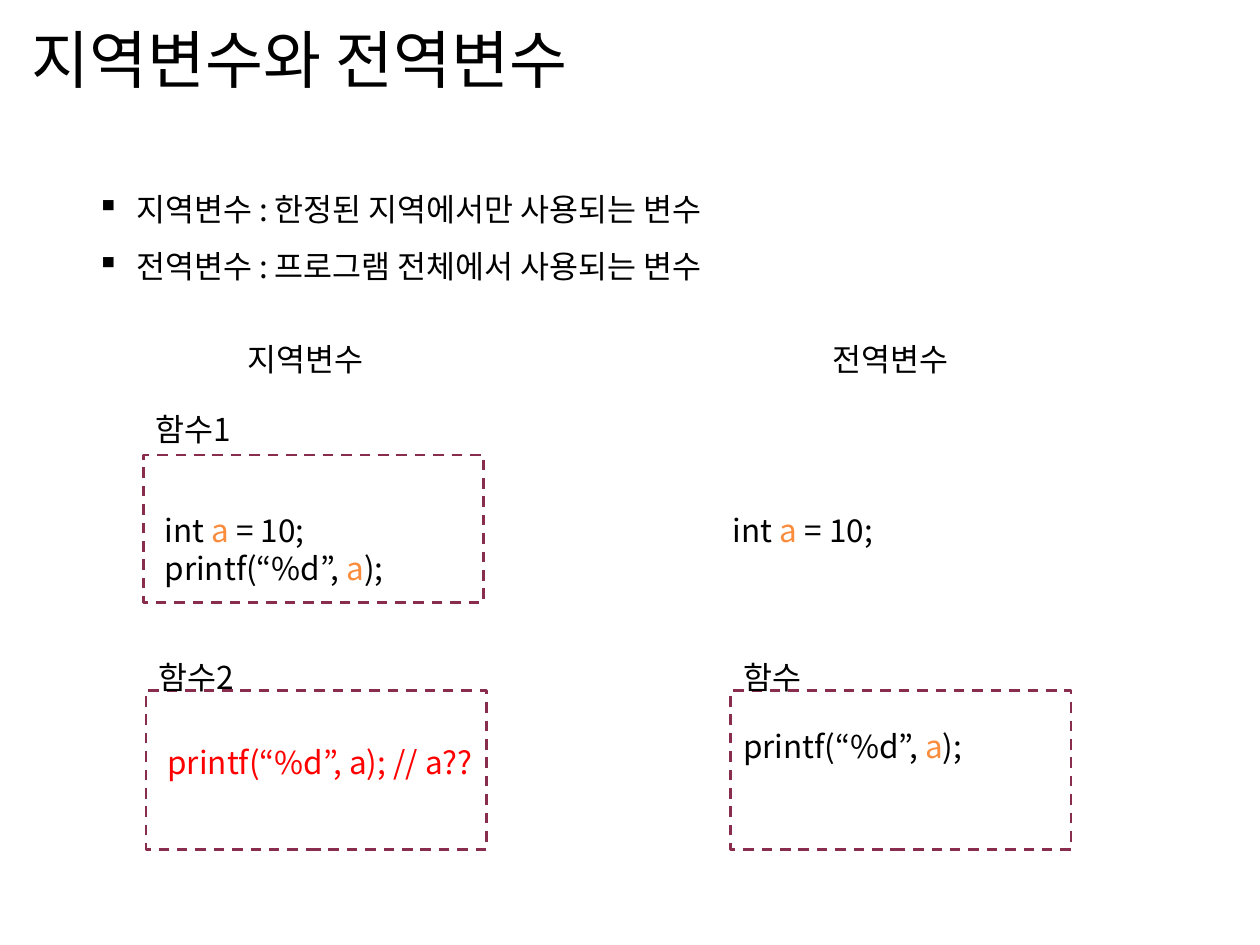
from dataclasses import dataclass

from lxml.etree import SubElement
from pptx import Presentation
from pptx.dml.color import RGBColor
from pptx.enum.dml import MSO_LINE
from pptx.enum.shapes import MSO_SHAPE
from pptx.enum.text import MSO_ANCHOR, PP_ALIGN
from pptx.oxml.ns import qn
from pptx.util import Pt


@dataclass(frozen=True)
class Theme:
    font: str = "Noto Sans CJK KR"
    title_size: int = 36
    body_size: int = 18
    ink: str = "000000"
    variable: str = "FA8D3D"
    error: str = "FF0000"
    frame: str = "882D4D"


class LessonSlide:
    def __init__(self, presentation, theme):
        self.theme = theme
        self.slide = presentation.slides.add_slide(presentation.slide_layouts[5])

    def style(self, paragraph, size, color):
        paragraph.font.name = self.theme.font
        paragraph.font.size = Pt(size)
        paragraph.font.color.rgb = RGBColor.from_string(color)
        defaults = paragraph._p.pPr.find(qn("a:defRPr"))
        SubElement(defaults, qn("a:ea")).set("typeface", self.theme.font)

    def title(self, text, left, top, width, height):
        heading = self.slide.shapes.title
        heading.left, heading.top = Pt(left), Pt(top)
        heading.width, heading.height = Pt(width), Pt(height)
        heading.text_frame.text = text
        heading.text_frame.vertical_anchor = MSO_ANCHOR.MIDDLE
        paragraph = heading.text_frame.paragraphs[0]
        paragraph.alignment = PP_ALIGN.LEFT
        self.style(paragraph, self.theme.title_size, self.theme.ink)

    def text(self, lines, left, top, width, height=29, color=None, first_spacing=None):
        box = self.slide.shapes.add_textbox(Pt(left), Pt(top), Pt(width), Pt(height))
        frame = box.text_frame
        frame.word_wrap = False
        for index, line in enumerate(lines):
            paragraph = frame.paragraphs[0] if index == 0 else frame.add_paragraph()
            for position, part in enumerate(line.split("|")):
                run = paragraph.add_run()
                run.text = part
                if position % 2:
                    run.font.color.rgb = RGBColor.from_string(self.theme.variable)
            self.style(paragraph, self.theme.body_size, color or self.theme.ink)
        if first_spacing:
            frame.paragraphs[0].line_spacing = first_spacing
        return frame

    def bullets(self, lines, left, top, width, height):
        for paragraph in self.text(lines, left, top, width, height).paragraphs:
            paragraph.line_spacing = 1.5
            properties = paragraph._p.pPr
            properties.set("marL", str(Pt(22.5)))
            properties.set("indent", str(-Pt(22.5)))
            marker = SubElement(properties, qn("a:buChar"))
            marker.set("char", "▪")
            properties.find(qn("a:defRPr")).addprevious(marker)

    def frame(self, left, top, height, width=194.5):
        outline = self.slide.shapes.add_shape(
            MSO_SHAPE.RECTANGLE, Pt(left), Pt(top), Pt(width), Pt(height))
        outline.shadow.inherit = False
        outline.fill.background()
        outline.line.color.rgb = RGBColor.from_string(self.theme.frame)
        outline.line.width = Pt(1.5)
        outline.line.dash_style = MSO_LINE.DASH


def main():
    presentation = Presentation()
    presentation.slide_width, presentation.slide_height = Pt(720), Pt(540)
    lesson = LessonSlide(presentation, Theme())
    declaration = "int |a| = 10;"
    output = "printf(“%d”, |a|);"
    local_left, second_left, global_left = 82, 83.5, 417.6
    heading_top, code_top, lower_label_top, lower_frame_top = 190.8, 267, 372.2, 394.6

    lesson.title("지역변수와 전역변수", 10.8, 8.6, 648, 49.7)
    lesson.bullets(
        ["지역변수 : 한정된 지역에서만 사용되는 변수",
         "전역변수 : 프로그램 전체에서 사용되는 변수"],
        48.2, 94.3, 401.8, 67.7)

    lesson.frame(local_left, 260, 84.2)
    lesson.text([declaration, output], 87, code_top, 182, 94.3, first_spacing=2)
    lesson.text(["함수1"], local_left, 231, 62)

    lesson.frame(second_left, lower_frame_top, 90.7)
    lesson.text(["printf(“%d”, a); // a??"], 88.6, 421.2, 246.2, color=lesson.theme.error)
    lesson.text(["함수2"], second_left, lower_label_top, 62)
    lesson.text(["지역변수"], 134.6, heading_top, 87)

    lesson.text([declaration], 411.8, code_top, 112.3, 51, first_spacing=2)
    lesson.frame(global_left, lower_frame_top, 90.7)
    lesson.text(["함수"], global_left, lower_label_top, 51)
    lesson.text(["전역변수"], 468.7, heading_top, 87)
    lesson.text([output], global_left, 411.8, 188)

    presentation.save("out.pptx")


if __name__ == "__main__":
    main()
